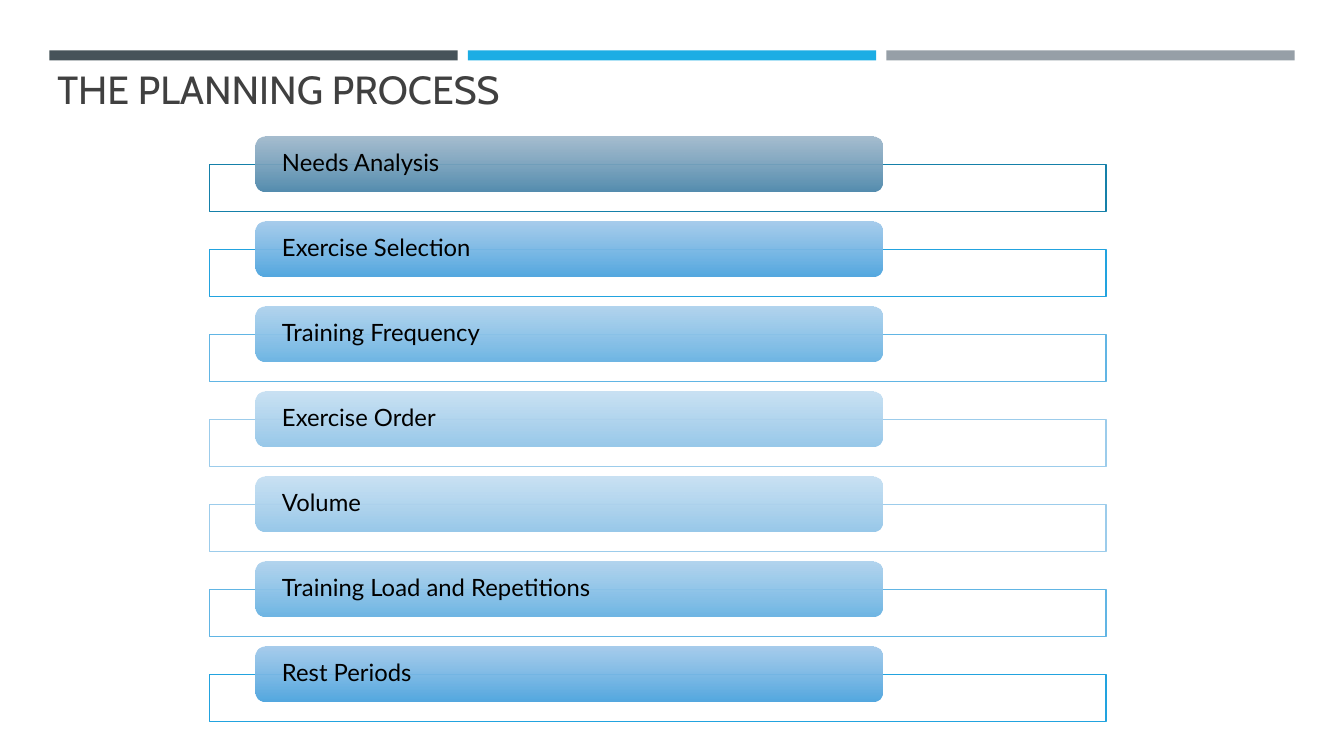
from dataclasses import dataclass
from typing import Any

from lxml.etree import SubElement
from pptx import Presentation
from pptx.dml.color import RGBColor
from pptx.enum.shapes import MSO_SHAPE
from pptx.enum.text import MSO_ANCHOR, PP_ALIGN
from pptx.oxml.ns import qn
from pptx.shapes.autoshape import Shape
from pptx.slide import Slide
from pptx.util import Inches, Pt


@dataclass(frozen=True)
class Tone:
    """Colours of one planning step."""
    top: str
    bottom: str
    outline: str


@dataclass(frozen=True)
class Theme:
    """Colours, fonts and type sizes of the slide."""
    white: str = "FFFFFF"
    title_color: str = "404040"
    label_color: str = "000000"
    title_font: str = "Cabin"
    label_font: str = "Lato"
    title_size: int = 28
    label_size: int = 17
    opacity: int = 90
    bands: tuple[str, ...] = ("465359", "1CADE4", "969FA7")
    slate: Tone = Tone("9CB6CA", "558DAF", "1580A9")
    strong: Tone = Tone("9DC7EA", "54A8E0", "22A3DF")
    medium: Tone = Tone("AAD0ED", "6FB6E4", "61B5E4")
    light: Tone = Tone("C3DEF2", "99C9EA", "9CCCEB")


@dataclass(frozen=True)
class Area:
    """Position and size in inches."""
    left: float
    top: float
    width: float
    height: float

    def lengths(self) -> list[int]:
        """Return the four values as slide lengths."""
        return [Inches(value) for value in (self.left, self.top, self.width, self.height)]


@dataclass(frozen=True)
class Step:
    """One step of the planning process."""
    label: str
    tone: Tone


THEME = Theme()
STEPS = (
    Step("Needs Analysis", THEME.slate),
    Step("Exercise Selection", THEME.strong),
    Step("Training Frequency", THEME.medium),
    Step("Exercise Order", THEME.light),
    Step("Volume", THEME.light),
    Step("Training Load and Repetitions", THEME.medium),
    Step("Rest Periods", THEME.strong),
)
FIRST_TOP = 1.35
LAST_TOP = 6.41
PITCH = (LAST_TOP - FIRST_TOP) / (len(STEPS) - 1)
BAND_PITCH = 4.15


def apply(target: Any, values: dict[str, Any]) -> None:
    """Set every named value on the target."""
    for name, value in values.items():
        setattr(target, name, value)


def add_plain(slide: Slide, kind: MSO_SHAPE, area: Area) -> Shape:
    """Add a preset shape without shadow or outline."""
    shape = slide.shapes.add_shape(kind, *area.lengths())
    shape.shadow.inherit = False
    shape.line.fill.background()
    return shape


def fill_solid(shape: Shape, color: str) -> None:
    """Fill a shape with one colour."""
    shape.fill.solid()
    shape.fill.fore_color.rgb = RGBColor.from_string(color)


def soften_first_color(shape: Shape) -> None:
    """Make the first fill colour of a shape slightly transparent."""
    color = shape._element.spPr.find(f".//{qn('a:srgbClr')}")
    SubElement(color, qn("a:alpha"), val=str(THEME.opacity * 1000))


def write(box: Shape, text: str, frame_format: dict[str, Any],
          para_format: dict[str, Any], font_format: dict[str, Any], color: str) -> None:
    """Write one formatted paragraph into a box."""
    frame = box.text_frame
    apply(frame, {"word_wrap": True, **frame_format})
    para = frame.paragraphs[0]
    apply(para, {"alignment": PP_ALIGN.LEFT, **para_format})
    span = para.add_run()
    span.text = text
    apply(span.font, font_format)
    span.font.color.rgb = RGBColor.from_string(color)


def add_bands(slide: Slide) -> None:
    """Add the three coloured bands at the top."""
    for index, color in enumerate(THEME.bands):
        area = Area(0.49 + index * BAND_PITCH, 0.5, 4.05, 0.1)
        fill_solid(add_plain(slide, MSO_SHAPE.RECTANGLE, area), color)


def add_title(slide: Slide, text: str) -> None:
    """Add the slide title."""
    box = slide.shapes.add_textbox(*Area(0.47, -0.36, 7.72, 1.53).lengths())
    write(box, text, {"vertical_anchor": MSO_ANCHOR.BOTTOM}, {"line_spacing": 0.9},
          {"name": THEME.title_font, "size": Pt(THEME.title_size)}, THEME.title_color)


def add_step(slide: Slide, step: Step, top: float) -> None:
    """Add one outlined frame with its labelled bar."""
    frame = add_plain(slide, MSO_SHAPE.RECTANGLE, Area(2.08, top + 0.28, 8.89, 0.47))
    fill_solid(frame, THEME.white)
    soften_first_color(frame)
    frame.line.color.rgb = RGBColor.from_string(step.tone.outline)
    frame.line.width = Pt(1)

    bar = add_plain(slide, MSO_SHAPE.ROUNDED_RECTANGLE, Area(2.53, top, 6.22, 0.55))
    bar.fill.gradient()
    bar.fill.gradient_angle = 270
    stops = zip(bar.fill.gradient_stops, (step.tone.top, step.tone.bottom), (0, 1))
    for stop, color, position in stops:
        stop.color.rgb = RGBColor.from_string(color)
        stop.position = position
    soften_first_color(bar)
    inset = Inches(0.24)
    write(bar, step.label,
          {"vertical_anchor": MSO_ANCHOR.MIDDLE, "margin_left": inset,
           "margin_right": inset, "margin_top": 0, "margin_bottom": 0},
          {"line_spacing": 0.9},
          {"name": THEME.label_font, "size": Pt(THEME.label_size)}, THEME.label_color)


def main() -> None:
    """Build and save the deck."""
    deck = Presentation()
    apply(deck, {"slide_width": Inches(13.33), "slide_height": Inches(7.5)})
    page = deck.slides.add_slide(deck.slide_layouts[6])
    add_bands(page)
    add_title(page, "THE PLANNING PROCESS")
    for index, step in enumerate(STEPS):
        add_step(page, step, FIRST_TOP + index * PITCH)
    deck.save("out.pptx")


if __name__ == "__main__":
    main()
